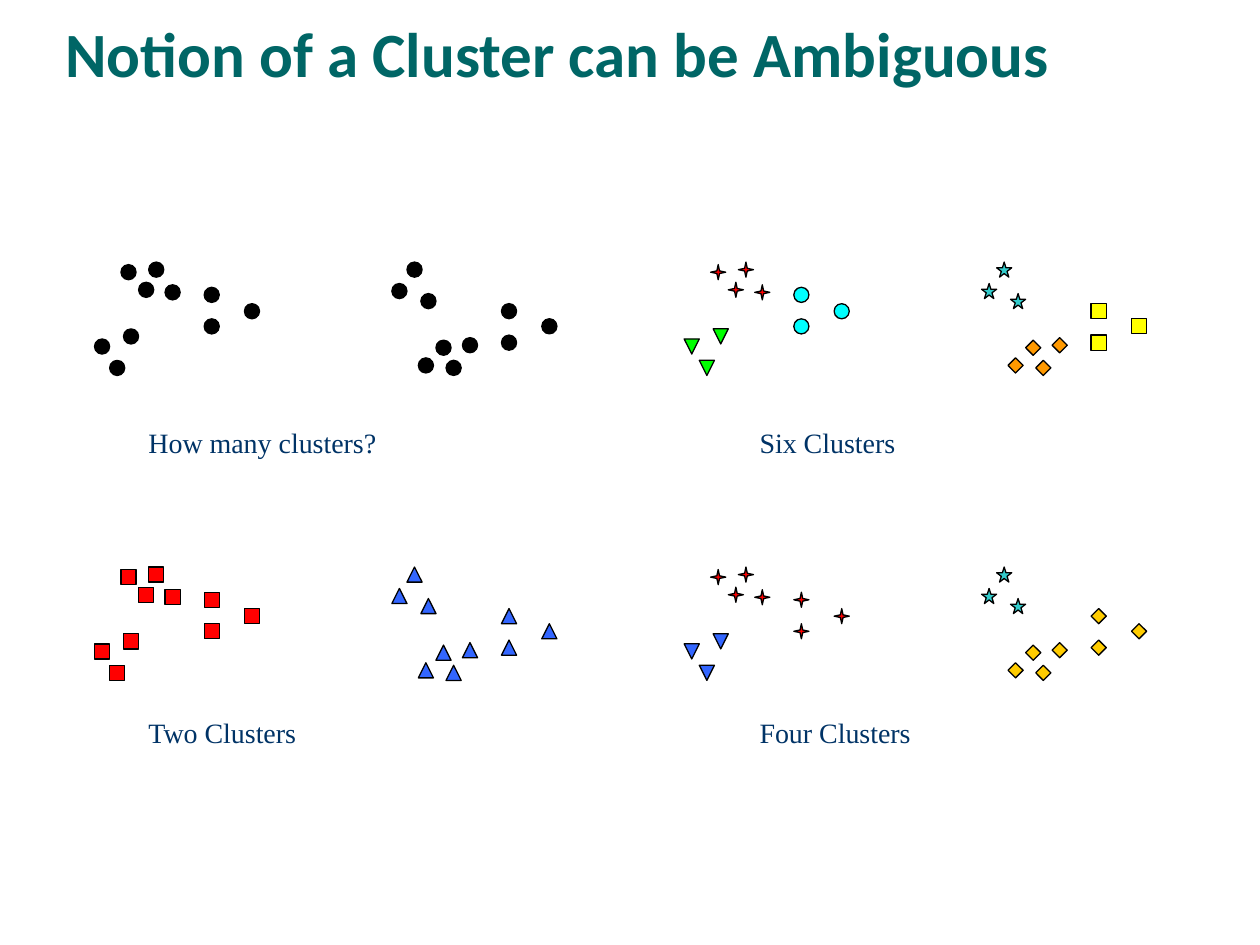
from pptx import Presentation
from pptx.dml.color import RGBColor
from pptx.enum.shapes import MSO_SHAPE
from pptx.enum.text import MSO_ANCHOR
from pptx.util import Inches, Pt

THEME = {
    "title": ("Calibri", 36, "006666", True),
    "caption": ("Times New Roman", 16, "003366", False),
    "black": "000000", "red": "FF0000", "blue": "3366FF", "green": "00FF00",
    "cyan": "00FFFF", "teal": "33CCCC", "orange": "FF9900", "gold": "FFCC00",
    "yellow": "FFFF00", "outline": "000000", "outline_pt": 0.75,
}

TITLE = "Notion of a Cluster can be Ambiguous"

# Offsets of the points in one cloud, by the subgroup they belong to
CLOUD = {
    "quad": [(0.56, 0.18), (0.21, 0.02), (0.43, 0), (0.35, 0.16)],
    "corner": [(0.23, 0.53), (0, 0.61), (0.12, 0.78)],
    "side": [(0.87, 0.20), (1.19, 0.33), (0.87, 0.45)],
}

DOT = (MSO_SHAPE.OVAL, "black")
SQUARE = (MSO_SHAPE.RECTANGLE, "red")
TRIANGLE = (MSO_SHAPE.ISOSCELES_TRIANGLE, "blue")
SPARK = (MSO_SHAPE.STAR_4_POINT, "red")
STAR = (MSO_SHAPE.STAR_5_POINT, "teal")
GOLD_DIAMOND = (MSO_SHAPE.DIAMOND, "gold")

# Column, row, caption, then markers (quad, corner, side) of the left and right clouds
PANELS = [
    (0, 0, "How many clusters?", [DOT] * 3, [DOT] * 3),
    (1, 0, "Six Clusters",
     [SPARK, (MSO_SHAPE.ISOSCELES_TRIANGLE, "green"), (MSO_SHAPE.OVAL, "cyan")],
     [(MSO_SHAPE.DIAMOND, "orange"), STAR, (MSO_SHAPE.RECTANGLE, "yellow")]),
    (0, 1, "Two Clusters", [SQUARE] * 3, [TRIANGLE] * 3),
    (1, 1, "Four Clusters",
     [SPARK, (MSO_SHAPE.FLOWCHART_EXTRACT, "blue"), SPARK],
     [GOLD_DIAMOND, STAR, GOLD_DIAMOND]),
]

# Each grid: left, top, column step, row step
CLOUD_GRID = (0.75, 2.08, 4.68, 2.42)
CAPTION_GRID = (1.08, 3.33, 4.85, 2.30)
CLOUD_GAP = 2.36
CLOUD_HEIGHT = 0.78
MARKER = 0.12


def grid_cell(grid, col, row):
    left, top, dx, dy = grid
    return left + col * dx, top + row * dy


def add_text(shapes, text, style, x, y, w, h):
    tb = shapes.add_textbox(Inches(x), Inches(y), Inches(w), Inches(h))
    tf = tb.text_frame
    tf.word_wrap = True
    tf.text = text
    font = tf.paragraphs[0].runs[0].font
    font.name, size, color, font.bold = THEME[style]
    font.size = Pt(size)
    font.color.rgb = RGBColor.from_string(color)
    return tf


def add_cloud(shapes, left, top, markers, mirrored):
    """Draw one cloud; the mirrored one is turned over top to bottom."""
    for (kind, color), points in zip(markers, CLOUD.values()):
        for dx, dy in points:
            y = top + (CLOUD_HEIGHT - dy if mirrored else dy)
            s = shapes.add_shape(kind, Inches(left + dx), Inches(y),
                                 Inches(MARKER), Inches(MARKER))
            s.rotation = 0 if mirrored else 180
            s.shadow.inherit = False
            s.fill.solid()
            s.fill.fore_color.rgb = RGBColor.from_string(THEME[color])
            s.line.color.rgb = RGBColor.from_string(THEME["outline"])
            s.line.width = Pt(THEME["outline_pt"])


def main():
    prs = Presentation()
    prs.slide_width, prs.slide_height = Inches(10), Inches(7.5)
    slide = prs.slides.add_slide(prs.slide_layouts[6])

    tf = add_text(slide.shapes, TITLE, "title", 0.42, 0.17, 9.06, 0.6)
    tf.vertical_anchor = MSO_ANCHOR.BOTTOM
    tf.paragraphs[0].line_spacing = 0.9

    for col, row, caption, left_markers, right_markers in PANELS:
        shapes = slide.shapes.add_group_shape().shapes
        x, y = grid_cell(CLOUD_GRID, col, row)
        add_cloud(shapes, x + CLOUD_GAP, y, right_markers, True)
        add_cloud(shapes, x, y, left_markers, False)
        add_text(shapes, caption, "caption", *grid_cell(CAPTION_GRID, col, row), 2.5, 0.37)

    prs.save("out.pptx")


if __name__ == "__main__":
    main()
